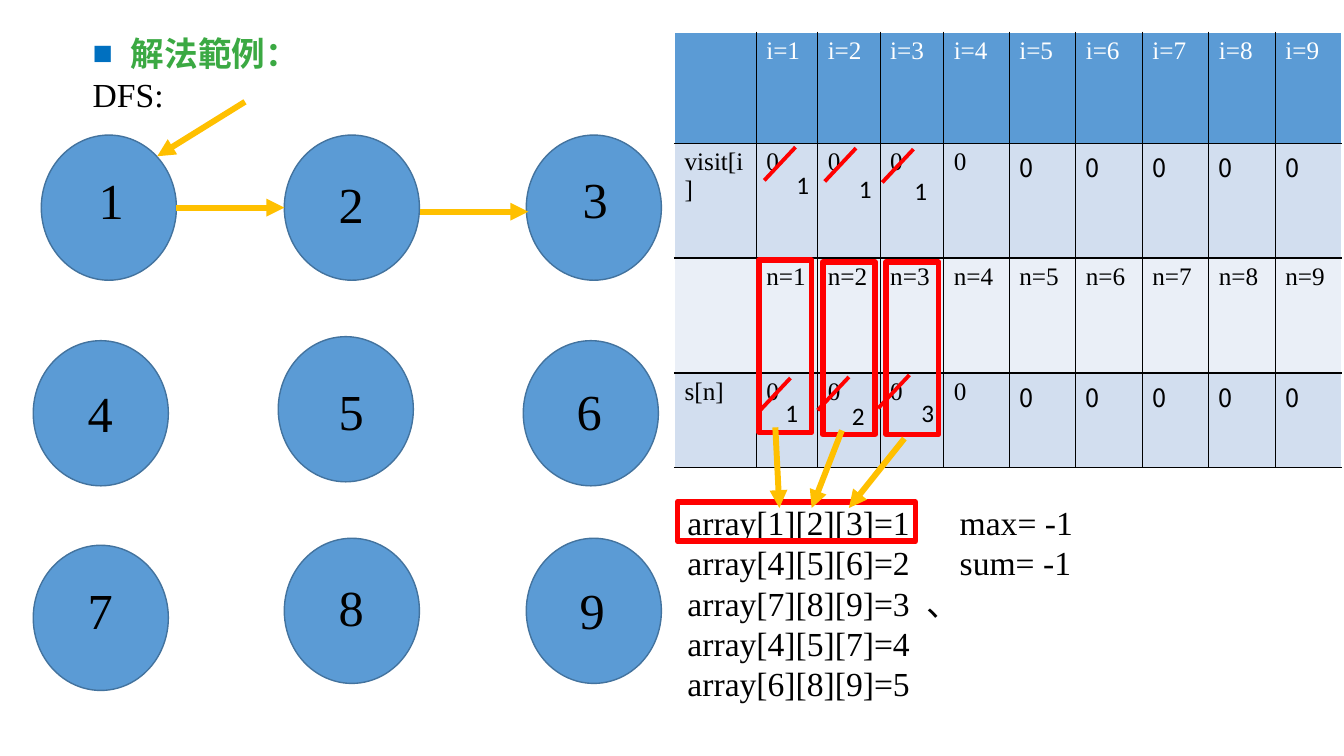
from typing import NamedTuple

from lxml.etree import SubElement
from pptx import Presentation
from pptx.dml.color import RGBColor
from pptx.enum.dml import MSO_THEME_COLOR
from pptx.enum.shapes import MSO_CONNECTOR, MSO_SHAPE
from pptx.enum.text import MSO_AUTO_SIZE
from pptx.oxml.ns import qn
from pptx.util import Pt

SCALE = 9144
STRAIGHT = MSO_CONNECTOR.STRAIGHT
CIRCLE = MSO_SHAPE.FLOWCHART_CONNECTOR
RECTANGLE = MSO_SHAPE.RECTANGLE
GROW = MSO_AUTO_SIZE.SHAPE_TO_FIT_TEXT
BLACK = RGBColor(0x00, 0x00, 0x00)
WHITE = RGBColor(0xFF, 0xFF, 0xFF)
RED = RGBColor(0xFF, 0x00, 0x00)
AMBER = RGBColor(0xFF, 0xC0, 0x00)
GREEN = RGBColor(0x3B, 0xA9, 0x43)
BULLET_BLUE = RGBColor(0x00, 0x70, 0xC0)
BLUE = RGBColor(0x5B, 0x9B, 0xD5)
DARK_BLUE = RGBColor(0x43, 0x73, 0x9E)
BAND_DARK = RGBColor(0xD2, 0xDE, 0xEF)
BAND_LIGHT = RGBColor(0xEA, 0xEF, 0xF7)
SERIF = "Times New Roman"
CJK = "Noto Sans CJK SC"

TITLE_FORMAT = {"name": CJK, "size": Pt(24), "bold": True}
BODY_FORMAT = {"name": SERIF, "size": Pt(24), "bold": False}
DIGIT_FORMAT = {"name": SERIF, "size": Pt(36)}
MARK_FORMAT = {"name": "Calibri", "size": Pt(18)}
CELL_FORMAT = {"name": SERIF, "size": Pt(18)}
CJK_CELL_FORMAT = {"name": CJK, "size": Pt(18)}


class Box(NamedTuple):
    left: int
    top: int
    width: int
    height: int


class Node(NamedTuple):
    digit: str
    left: int
    top: int
    digit_left: int
    digit_top: int


class Line(NamedTuple):
    x1: int
    y1: int
    x2: int
    y2: int


class Update(NamedTuple):
    value: str
    left: int
    top: int
    strike_left: int
    strike_top: int


NODES = [
    Node("1", 41, 134, 88, 163), Node("2", 282, 134, 326, 167), Node("3", 522, 134, 568, 162),
    Node("4", 33, 338, 77, 374), Node("5", 276, 334, 326, 372), Node("6", 519, 338, 562, 372),
    Node("7", 33, 541, 77, 570), Node("8", 282, 534, 326, 567), Node("9", 522, 534, 565, 570),
]
UPDATES = [
    Update("1", 780, 163, 758, 146), Update("1", 842, 167, 818, 147), Update("1", 897, 169, 875, 148),
    Update("1", 769, 389, 753, 375), Update("2", 835, 392, 811, 374), Update("3", 904, 389, 871, 372),
]
HIGHLIGHTS = [Box(672, 498, 236, 39), Box(753, 258, 52, 171), Box(816, 260, 52, 171), Box(879, 260, 52, 171)]
ARROWS = [
    Line(175, 206, 282, 206), Line(417, 210, 524, 210), Line(769, 424, 773, 504),
    Line(835, 427, 805, 504), Line(897, 435, 842, 504), Line(243, 101, 156, 155),
]
TABLE_BOX = Box(669, 32, 662, 432)
COLUMN_WIDTHS = [81, 61, 62, 63, 65] + [66] * 5
ROW_HEIGHTS = [110, 114, 114, 94]
ROW_FILLS = [BLUE, BAND_DARK, BAND_LIGHT, BAND_DARK]
INDICES = range(1, 10)
TABLE_ROWS = [
    [""] + [f"i={index}" for index in INDICES],
    ["visit[i]"] + ["0"] * 9,
    [""] + [f"n={index}" for index in INDICES],
    ["s[n]"] + ["0"] * 9,
]
ARRAY_LINES = [
    "array[1][2][3]=1\tmax= -1", "array[4][5][6]=2\tsum= -1", "array[7][8][9]=3\t、",
    "array[4][5][7]=4", "array[6][8][9]=5",
]
ARRAY_TABS = [270, 270, 237, 0, 0]


def emu(values) -> list[int]:
    """Turn px lengths into EMU."""
    return [value * SCALE for value in values]


def write(paragraph, text: str, text_format: dict, color: RGBColor = BLACK):
    """Add a formatted run to a paragraph."""
    run = paragraph.add_run()
    run.text = text
    for name, value in text_format.items():
        setattr(run.font, name, value)
    run.font.color.rgb = color
    return run


def add_text(slide, box: Box, lines: list[str], text_format: dict):
    """Add a wrapping text box with one paragraph per line."""
    frame = slide.shapes.add_textbox(*emu(box)).text_frame
    frame.word_wrap = True
    frame.auto_size = GROW
    for number, line in enumerate(lines):
        paragraph = frame.add_paragraph() if number else frame.paragraphs[0]
        write(paragraph, line, text_format)
    return frame


def add_title(slide) -> None:
    """Add the bulleted heading and the method name."""
    frame = add_text(slide, Box(82, 32, 1149, 87), ["解法範例：", "DFS:"], BODY_FORMAT)
    heading = frame.paragraphs[0]
    run = heading.runs[0]
    for name, value in TITLE_FORMAT.items():
        setattr(run.font, name, value)
    run.font.color.rgb = GREEN
    SubElement(run.font._element, qn("a:ea"), typeface=CJK)
    heading.line_spacing = 0.9
    properties = heading._p.get_or_add_pPr()
    properties.set("marL", str(38 * SCALE))
    properties.set("indent", str(-38 * SCALE))
    bullet_color = SubElement(properties, qn("a:buClr"))
    SubElement(bullet_color, qn("a:srgbClr"), val=str(BULLET_BLUE))
    SubElement(properties, qn("a:buFont"), typeface=SERIF)
    SubElement(properties, qn("a:buChar"), char="■")


def add_outline(slide, kind, box: Box, fill: RGBColor | None, color: RGBColor, weight: float) -> None:
    """Add an outlined shape, filled when a fill is given."""
    shape = slide.shapes.add_shape(kind, *emu(box))
    shape.shadow.inherit = False
    if fill is None:
        shape.fill.background()
    else:
        shape.fill.solid()
        shape.fill.fore_color.rgb = fill
    shape.line.color.rgb = color
    shape.line.width = Pt(weight)


def add_line(slide, line: Line, color: RGBColor, weight: float, arrow: bool = False) -> None:
    """Add a straight line, with an arrowhead at its end on request."""
    connector = slide.shapes.add_connector(STRAIGHT, *emu(line))
    connector.line.color.rgb = color
    connector.line.width = Pt(weight)
    if arrow:
        SubElement(connector.line._get_or_add_ln(), qn("a:tailEnd"), type="triangle")
    SubElement(connector._element.spPr, qn("a:effectLst"))


def set_borders(cell, colors: dict[str, RGBColor]) -> None:
    """Give the sides of a cell their border colours."""
    properties = cell._tc.get_or_add_tcPr()
    for side, color in colors.items():
        border = SubElement(properties, qn(f"a:{side}"), w=str(Pt(1)))
        SubElement(SubElement(border, qn("a:solidFill")), qn("a:srgbClr"), val=str(color))


def add_state_table(slide) -> None:
    """Add the table of visit and stack values."""
    table = slide.shapes.add_table(len(ROW_HEIGHTS), len(COLUMN_WIDTHS), *emu(TABLE_BOX)).table
    table.first_row = table.horz_banding = False
    for column, width in zip(table.columns, emu(COLUMN_WIDTHS)):
        column.width = width
    for row, height in zip(table.rows, emu(ROW_HEIGHTS)):
        row.height = height
    for row, texts in enumerate(TABLE_ROWS):
        for column, text in enumerate(texts):
            cell = table.cell(row, column)
            set_borders(cell, {
                "lnL": BLACK if column else WHITE,
                "lnR": BLACK if column < len(texts) - 1 else WHITE,
                "lnT": BLACK if row else WHITE,
                "lnB": BLACK,
            })
            cell.fill.solid()
            cell.fill.fore_color.rgb = ROW_FILLS[row]
            if text:
                text_format = CJK_CELL_FORMAT if text == "0" and column > 4 else CELL_FORMAT
                write(cell.text_frame.paragraphs[0], text, text_format, BLACK if row else WHITE)


def add_array_list(slide) -> None:
    """Add the array values with the results aligned by tabs."""
    frame = add_text(slide, Box(672, 493, 581, 212), ARRAY_LINES, BODY_FORMAT)
    for paragraph, position in zip(frame.paragraphs, ARRAY_TABS):
        if position:
            tabs = SubElement(paragraph._p.get_or_add_pPr(), qn("a:tabLst"))
            SubElement(tabs, qn("a:tab"), pos=str(position * SCALE), algn="l")


def main() -> None:
    """Build the slide and save it."""
    presentation = Presentation()
    presentation.slide_width, presentation.slide_height = emu((1333, 750))
    slide = presentation.slides.add_slide(presentation.slide_layouts[6])
    slide.background.fill.solid()
    slide.background.fill.fore_color.theme_color = MSO_THEME_COLOR.BACKGROUND_1
    add_title(slide)
    for node in NODES:
        add_outline(slide, CIRCLE, Box(node.left, node.top, 134, 144), BLUE, DARK_BLUE, 1)
        add_text(slide, Box(node.digit_left, node.digit_top, 86, 71), [node.digit], DIGIT_FORMAT)
    add_state_table(slide)
    add_array_list(slide)
    for update in UPDATES:
        left, top = update.strike_left, update.strike_top
        add_line(slide, Line(left + 31, top, left, top + 33), RED, 2.75)
        add_text(slide, Box(update.left, update.top, 30, 71), [update.value], MARK_FORMAT)
    for highlight in HIGHLIGHTS:
        add_outline(slide, RECTANGLE, highlight, None, RED, 4)
    for arrow in ARROWS:
        add_line(slide, arrow, AMBER, 4.25, arrow=True)
    presentation.save("out.pptx")


if __name__ == "__main__":
    main()
